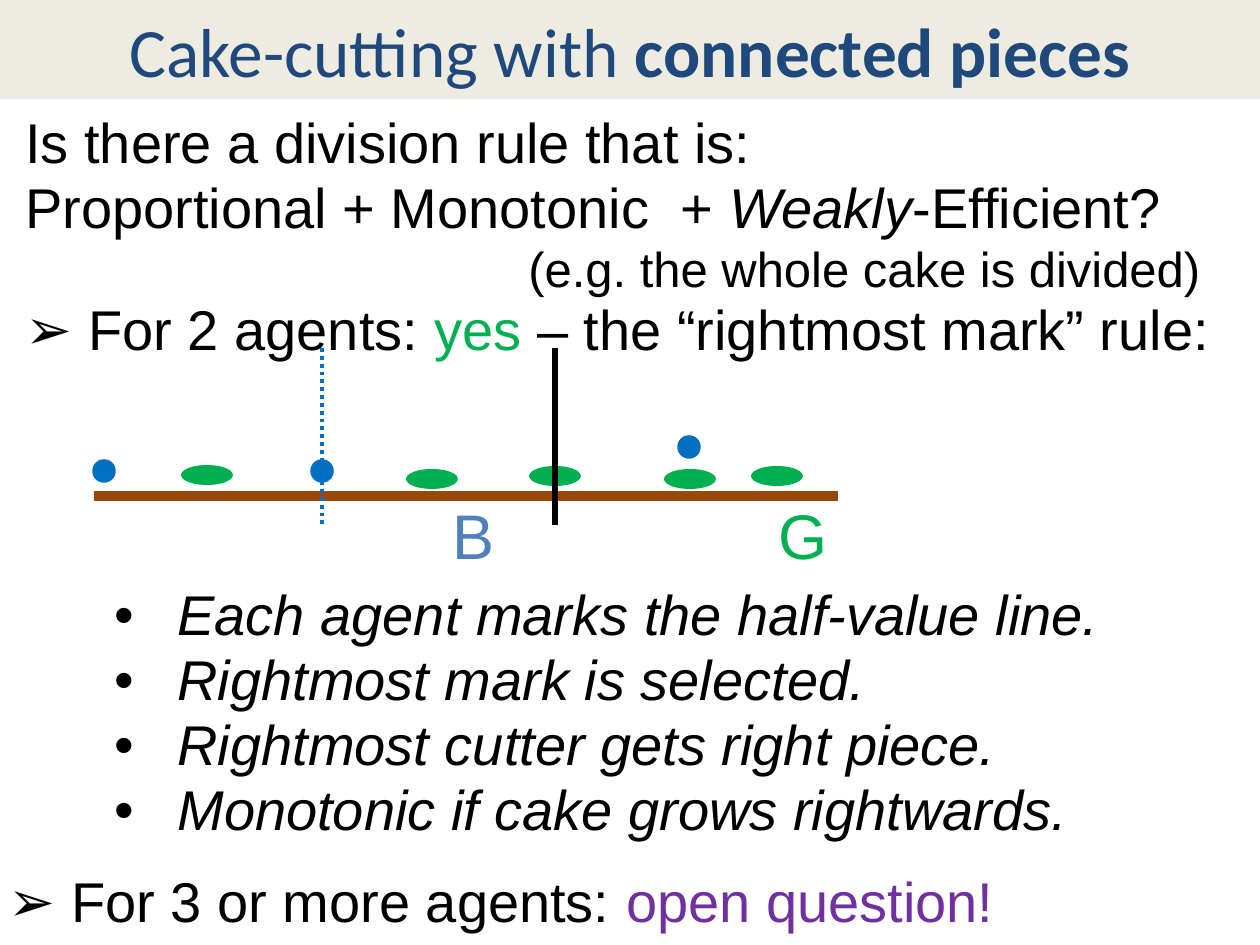
from typing import NamedTuple

from lxml.etree import SubElement
from pptx import Presentation
from pptx.dml.color import RGBColor
from pptx.enum.dml import MSO_LINE
from pptx.enum.shapes import MSO_CONNECTOR, MSO_SHAPE
from pptx.enum.text import MSO_ANCHOR, PP_ALIGN
from pptx.oxml.ns import qn
from pptx.util import Emu, Pt

BLACK = RGBColor(0x00, 0x00, 0x00)
NAVY = RGBColor(0x1F, 0x49, 0x7D)
CREAM = RGBColor(0xEE, 0xEC, 0xE1)
GREEN = RGBColor(0x00, 0xB0, 0x50)
BLUE = RGBColor(0x00, 0x70, 0xC0)
PALE_BLUE = RGBColor(0x4F, 0x81, 0xBD)
PURPLE = RGBColor(0x70, 0x30, 0xA0)
BROWN = RGBColor(0x98, 0x48, 0x07)

ARROW, DOT = "\u27a2", "\u2022"
HANGING = 63


def px(pixels: int) -> Emu:
    return Emu(round(pixels * 914400 / 126))


class Run(NamedTuple):
    text: str
    color: RGBColor = BLACK
    size: float = 32
    italic: bool = False
    bold: bool = False
    font: str = "Arial"


class Para(NamedTuple):
    runs: list[Run]
    bullet: str = ""
    margin: int = 0
    level: int = 0
    spacing: float = 0.97
    align: PP_ALIGN = PP_ALIGN.LEFT


class Value(NamedTuple):
    left: int
    top: int
    width: int
    height: int
    color: RGBColor
    outline: float = 0


class Line(NamedTuple):
    start: tuple[int, int]
    end: tuple[int, int]
    color: RGBColor
    width: float
    dash: MSO_LINE | None = None


def write(frame, paras: list[Para]) -> None:
    for index, para in enumerate(paras):
        p = frame.paragraphs[0] if index == 0 else frame.add_paragraph()
        p.line_spacing, p.alignment, p.level = para.spacing, para.align, para.level
        props = p._p.get_or_add_pPr()
        props.set("marL", str(px(para.margin)))
        props.set("indent", str(-px(HANGING) if para.bullet else 0))
        if para.bullet:
            color = SubElement(props, qn("a:buClr"))
            SubElement(color, qn("a:srgbClr"), val=str(BLACK))
            SubElement(props, qn("a:buFont"), typeface="Arial")
            SubElement(props, qn("a:buChar"), char=para.bullet)
        else:
            SubElement(props, qn("a:buNone"))
        for piece in para.runs:
            run = p.add_run()
            run.text = piece.text
            font = run.font
            font.name, font.size = piece.font, Pt(piece.size)
            font.italic, font.bold = piece.italic, piece.bold
            font.color.rgb = piece.color


def add_text(slide, left: int, top: int, width: int, height: int,
             paras: list[Para], wrap: bool = True) -> None:
    frame = slide.shapes.add_textbox(px(left), px(top), px(width), px(height)).text_frame
    frame.word_wrap = wrap
    write(frame, paras)


def add_value(slide, value: Value) -> None:
    oval = slide.shapes.add_shape(MSO_SHAPE.OVAL, px(value.left), px(value.top),
                                  px(value.width), px(value.height))
    oval.shadow.inherit = False
    oval.fill.solid()
    oval.fill.fore_color.rgb = value.color
    if value.outline:
        oval.line.color.rgb = value.color
        oval.line.width = Pt(value.outline)
    else:
        oval.line.fill.background()


def add_line(slide, line: Line) -> None:
    connector = slide.shapes.add_connector(
        MSO_CONNECTOR.STRAIGHT, *map(px, line.start), *map(px, line.end))
    connector.line.color.rgb = line.color
    connector.line.width = Pt(line.width)
    if line.dash is not None:
        connector.line.dash_style = line.dash
    SubElement(connector._element.spPr, qn("a:effectLst"))


def blue_value(left: int, top: int) -> Value:
    return Value(left, top, 20, 20, BLUE, 2)


def green_value(left: int, top: int) -> Value:
    return Value(left, top, 52, 20, GREEN)


def mark(x: int, color: RGBColor, width: float, dash: MSO_LINE | None = None) -> Line:
    return Line((x, 348), (x, 525), color, width, dash)


prs = Presentation()
prs.slide_width, prs.slide_height = px(1260), px(945)
slide = prs.slides.add_slide(prs.slide_layouts[6])

# Title band
title = slide.shapes.add_shape(MSO_SHAPE.RECTANGLE, 0, 0, px(1260), px(99))
title.shadow.inherit = False
title.fill.solid()
title.fill.fore_color.rgb = CREAM
title.line.fill.background()
title.text_frame.word_wrap = True
title.text_frame.vertical_anchor = MSO_ANCHOR.MIDDLE
write(title.text_frame, [Para([
    Run("Cake-cutting with ", NAVY, 39.6, font="Calibri"),
    Run("connected pieces", NAVY, 39.6, bold=True, font="Calibri"),
], spacing=1.0, align=PP_ALIGN.CENTER)])

# Question and answer for two agents
add_text(slide, 13, 105, 1235, 257, [
    Para([Run("Is there a division rule that is:")]),
    Para([Run("Proportional + Monotonic  + "), Run("Weakly", italic=True),
          Run("-Efficient?")]),
    Para([Run("(e.g. the whole cake is divided)", size=28)], margin=503),
    Para([Run("For 2 agents: "), Run("yes", GREEN),
          Run(" \u2013 the \u201crightmost mark\u201d rule:")], ARROW, HANGING),
])

# Cake with the agents' values
add_line(slide, Line((94, 496), (838, 496), BROWN, 6))
for left, top in [(94, 461), (312, 461), (679, 437)]:
    add_value(slide, blue_value(left, top))
for left, top in [(181, 465), (406, 469), (529, 466), (664, 469), (751, 466)]:
    add_value(slide, green_value(left, top))

# Half-value marks and the selected cut
add_line(slide, mark(322, BLUE, 2.25, MSO_LINE.ROUND_DOT))
add_line(slide, mark(556, GREEN, 2.25, MSO_LINE.ROUND_DOT))
add_line(slide, mark(555, BLACK, 3))

# Piece owners
for owner, left, width, color in [("B", 440, 68, PALE_BLUE), ("G", 766, 74, GREEN)]:
    add_text(slide, left, 495, width, 83, [Para([Run(owner, color, 36)])], wrap=False)

# Steps of the rule
steps = ["Each agent marks the half-value line.", "Rightmost mark is selected.",
         "Rightmost cutter gets right piece.", "Monotonic if cake grows rightwards."]
add_text(slide, 0, 577, 1150, 265,
         [Para([Run(step, italic=True)], DOT, 165, 1) for step in steps])

# Three or more agents
add_text(slide, -4, 864, 1017, 76, [
    Para([Run("For 3 or more agents: "), Run("open question!", PURPLE)], ARROW, HANGING),
], wrap=False)

prs.save("out.pptx")
